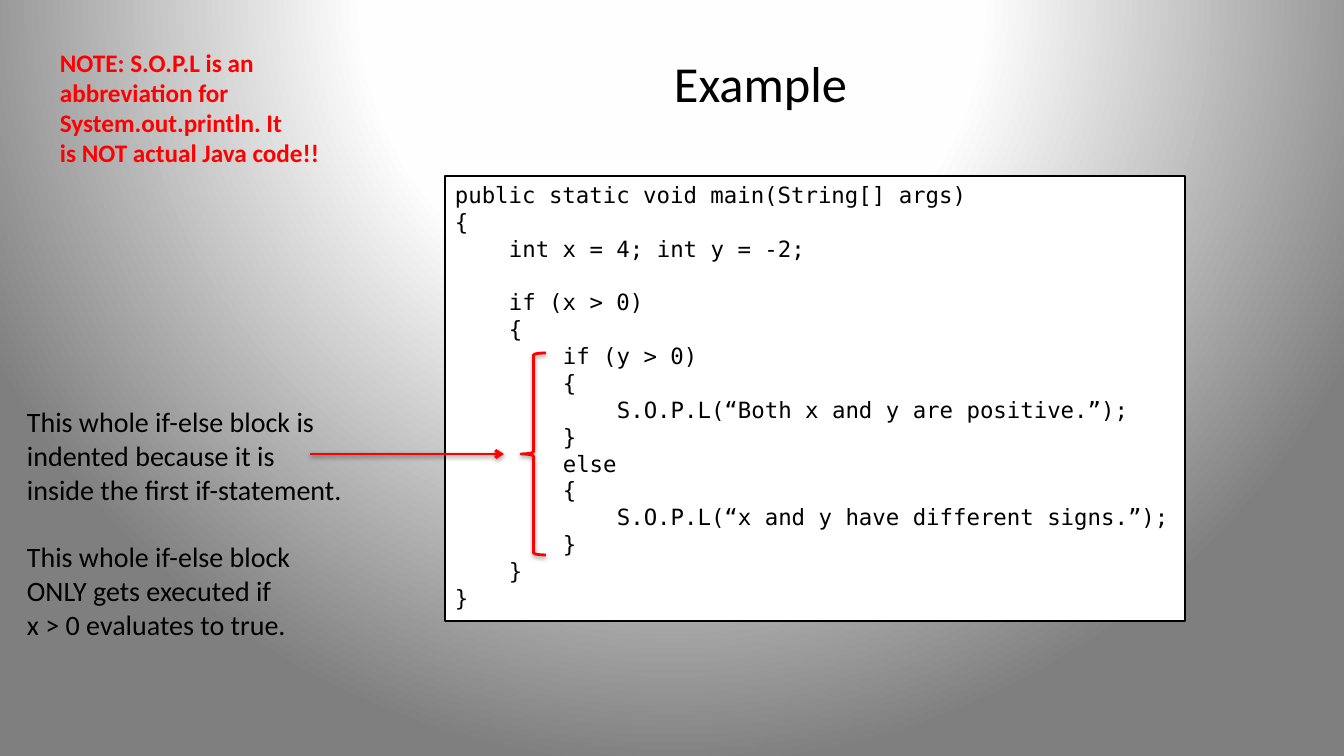
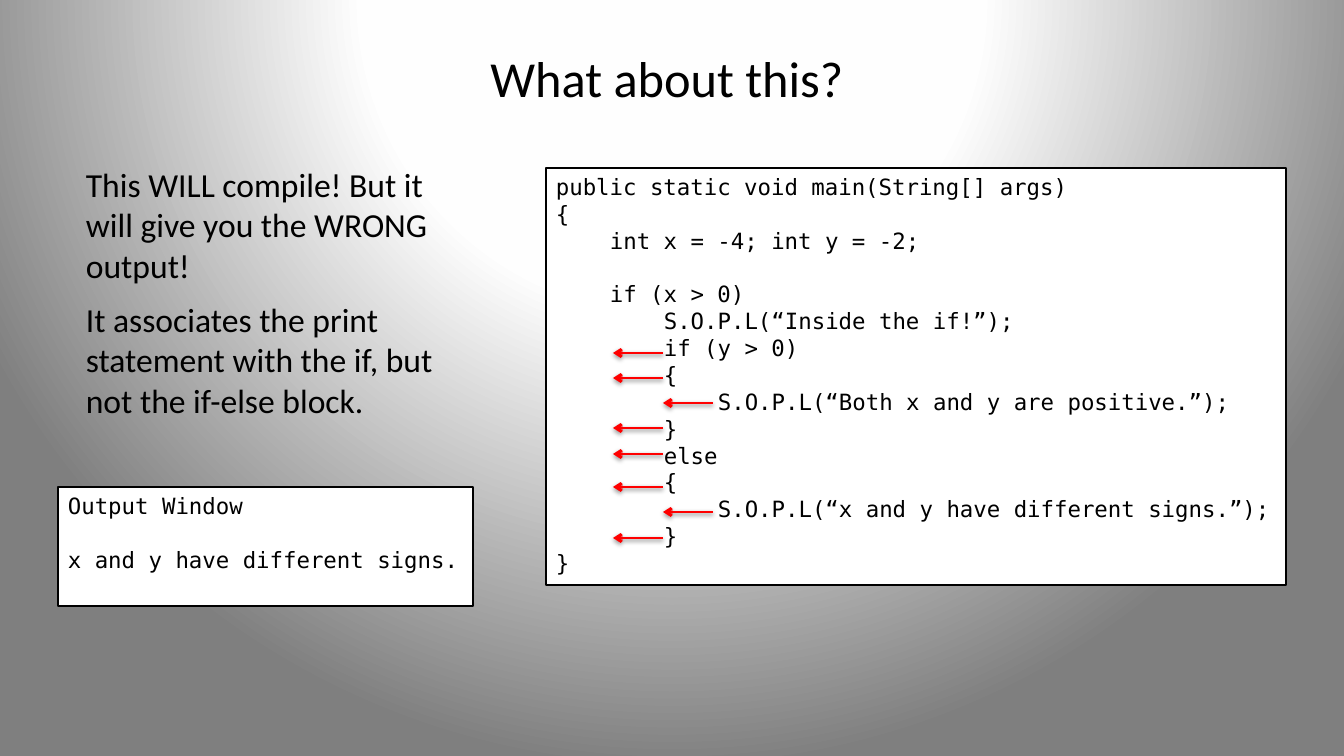
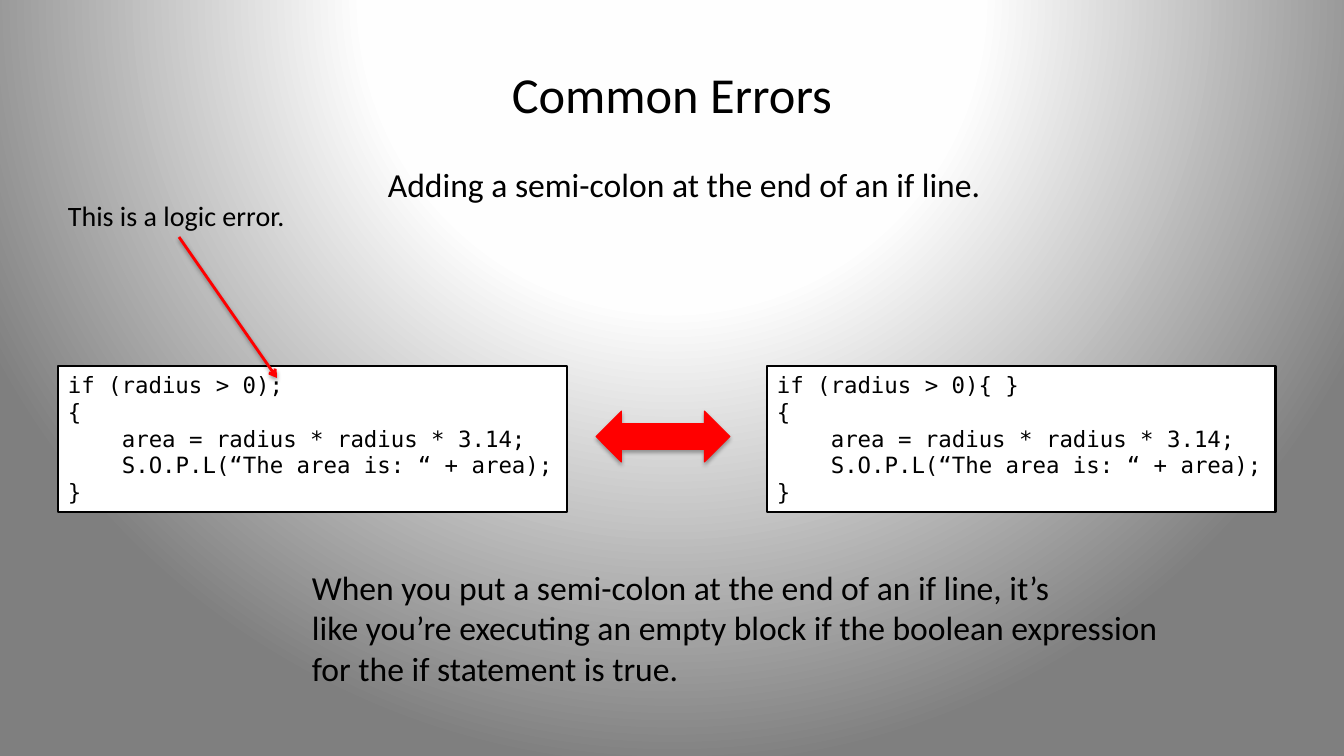
from lxml import etree
from pptx import Presentation
from pptx.dml.color import RGBColor
from pptx.enum.shapes import MSO_CONNECTOR, MSO_SHAPE
from pptx.enum.text import MSO_ANCHOR, PP_ALIGN
from pptx.oxml import parse_xml
from pptx.oxml.ns import nsdecls, qn
from pptx.util import Emu, Pt

RECT = MSO_SHAPE.RECTANGLE
BRACE = MSO_SHAPE.LEFT_BRACE
DOUBLE = MSO_SHAPE.LEFT_RIGHT_ARROW
LINE = MSO_CONNECTOR.STRAIGHT
TOP, MIDDLE = MSO_ANCHOR.TOP, MSO_ANCHOR.MIDDLE
LEFT, CENTER = PP_ALIGN.LEFT, PP_ALIGN.CENTER

COLORS = {"ink": "000000", "red": "FF0000", "paper": "FFFFFF",
          "glow": "FEFEFE", "edge": "7F7F7F"}
SANS, MONO = "Calibri", "DejaVu Sans Mono"
SCALE = 914400 / 100.8
WIDE, HIGH = 1344, 756
TAB, ROW = 54, 27  # four code columns, one code row

NEST = """        if (y > 0)
        {
            S.O.P.L(“Both x and y are positive.”);
        }
        else
        {
            S.O.P.L(“x and y have different signs.”);
        }
"""
SIGNS = """public static void main(String[] args)
{
    int x = 4; int y = -2;

    if (x > 0)
    {
""" + NEST + "    }\n}"
LOOSE = """public static void main(String[] args)
{
    int x = -4; int y = -2;

    if (x > 0)
        S.O.P.L(“Inside the if!”);
""" + NEST + "}"
OUTPUT = "Output Window\n\nx and y have different signs."
AREA = """
{
    area = radius * radius * 3.14;
    S.O.P.L(“The area is: “ + area);
}"""


def px(num):
    return Emu(round(num * SCALE))


def rgb(name):
    return RGBColor.from_string(COLORS[name])


def add_run(para, text, size, font=SANS, color="ink", bold=False):
    run = para.add_run()
    run.text = text
    face = run.font
    face.size, face.name, face.bold = Pt(size), font, bold
    face.color.rgb = rgb(color)


def cast(part, alpha=38, drop=20000):
    """Drop a soft shadow straight down."""
    part._element.spPr.append(parse_xml(
        f'<a:effectLst {nsdecls("a")}><a:outerShdw blurRad="40000" '
        f'dist="{drop}" dir="5400000" rotWithShape="0">'
        f'<a:srgbClr val="{COLORS["ink"]}"><a:alpha val="{alpha * 1000}"/>'
        '</a:srgbClr></a:outerShdw></a:effectLst>'))


def stroke(part, color, width=2):
    part.line.color.rgb = rgb(color)
    part.line.width = Pt(width)


def paint(master):
    """Give every slide the spotlight background."""
    master.background.fill.solid()
    stops = "".join(
        f'<a:gs pos="{pos * 1000}"><a:srgbClr val="{COLORS[name]}"/></a:gs>'
        for pos, name in ((0, "paper"), (40, "glow"), (100, "edge")))
    back = master.element.find(".//" + qn("p:bgPr"))
    back[0] = parse_xml(
        f'<a:gradFill {nsdecls("a")} rotWithShape="1"><a:gsLst>{stops}</a:gsLst>'
        '<a:path path="circle"><a:fillToRect l="50000" t="-80000" '
        'r="50000" b="180000"/></a:path></a:gradFill>')


def new_slide(deck, text, box):
    slide = deck.slides.add_slide(deck.slide_layouts[5])
    head = slide.shapes.title
    head.left, head.top, head.width, head.height = map(px, box)
    head.text_frame.vertical_anchor = MIDDLE
    para = head.text_frame.paragraphs[0]
    para.alignment = CENTER
    add_run(para, text, 36)
    return slide


def add_note(slide, box, paras, size, **style):
    """Place prose; a newline in a paragraph is a line break."""
    frame = slide.shapes.add_textbox(*map(px, box)).text_frame
    frame.word_wrap = True
    for i, text in enumerate(paras):
        para = frame.add_paragraph() if i else frame.paragraphs[0]
        for j, line in enumerate(text.split("\n")):
            if j:
                para.add_line_break()
            add_run(para, line, size, **style)


def add_code(slide, box, code):
    """Place a code panel; blank rows become space before the next row."""
    panel = slide.shapes.add_shape(RECT, *map(px, box))
    panel.shadow.inherit = False
    panel.fill.solid()
    panel.fill.fore_color.rgb = rgb("paper")
    stroke(panel, "ink")
    frame = panel.text_frame
    frame.word_wrap = True
    frame.vertical_anchor = TOP
    para, gap = frame.paragraphs[0], 0
    for i, line in enumerate(code.split("\n")):
        text = line.lstrip()
        if not text:
            gap += ROW
            continue
        if i:
            para = frame.add_paragraph()
        para.alignment = LEFT
        para.space_before = px(gap)
        props = para._p.get_or_add_pPr()
        props.set("marL", str(px((len(line) - len(text)) * TAB / 4)))
        props.set("indent", "0")
        add_run(para, text, 16, MONO)
        gap = 0


def add_arrow(slide, start, end):
    arrow = slide.shapes.add_connector(LINE, *map(px, start + end))
    stroke(arrow, "red")
    tail = etree.SubElement(arrow.line._get_or_add_ln(), qn("a:tailEnd"))
    tail.set("type", "arrow")
    cast(arrow)


def nested(deck, box):
    """Nested if-else with its block bracketed."""
    x, y = box[:2]
    slide = new_slide(deck, "Example", (244, 30, 1033, 104))
    add_code(slide, box, SIGNS)
    add_note(slide, (50, 42, 284, 132),
             ["NOTE: S.O.P.L is an\nabbreviation for\nSystem.out.println. It\n"
              "is NOT actual Java code!!"], 18, color="red", bold=True)
    brace = slide.shapes.add_shape(
        BRACE, *map(px, (x + 76, y + 177, 25, 202)))
    brace.fill.background()
    stroke(brace, "red")
    cast(brace)
    add_note(slide, (17, 400, 341, 112),
             ["This whole if-else block is\nindented because it is\n"
              "inside the first if-statement."], 20)
    add_arrow(slide, (x - 135, y + 278), (x + 59, y + 278))
    add_note(slide, (17, 535, 341, 112),
             ["This whole if-else block", "ONLY gets executed if",
              "x > 0 evaluates to true."], 20)


def unbraced(deck, box):
    """Missing braces, with arrows showing the true indent."""
    x, y = box[:2]
    slide = new_slide(deck, "What about this?", (58, 25, 1218, 104))
    add_code(slide, box, LOOSE)
    add_note(slide, (76, 159, 379, 132),
             ["This WILL compile! But it\nwill give you the WRONG\noutput!"], 24)
    add_note(slide, (76, 294, 379, 132),
             ["It associates the print\nstatement with the if, but\n"
              "not the if-else block."], 24)
    add_code(slide, (58, 487, 415, 119), OUTPUT)
    for drop, depth in ((185, 0), (210, 0), (235, 1), (260, 0),
                        (286, 0), (319, 0), (344, 1), (370, 0)):
        tip = x + 67 + 50 * depth
        add_arrow(slide, (tip + 50, y + drop), (tip, y + drop))


def errors(deck, box):
    """Two equal code panels joined by a double arrow."""
    x, y, w, h = box
    slide = new_slide(deck, "Common Errors", (67, 30, 1210, 126))
    add_note(slide, (378, 159, 622, 50),
             ["Adding a semi-colon at the end of an if line."], 24)
    for i, end in enumerate((";", "{ }")):
        add_code(slide, (x + 709 * i, y, w, h), "if (radius > 0)" + end + AREA)
    add_note(slide, (x, y - 172, 242, 44), ["This is a logic error."], 20)
    add_arrow(slide, (x + 121, y - 129), (x + 219, y + 12))
    swap = slide.shapes.add_shape(
        DOUBLE, *map(px, (x + w + 29, y + 45, 134, 51)))
    swap.fill.solid()
    swap.fill.fore_color.rgb = rgb("red")
    stroke(swap, "red", 0.75)
    cast(swap, 35, 23000)
    add_note(slide, (302, 562, 879, 132),
             ["When you put a semi-colon at the end of an if line, it’s\n"
              "like you’re executing an empty block if the boolean expression\n"
              "for the if statement is true."], 24)


deck = Presentation()
deck.slide_width, deck.slide_height = px(WIDE), px(HIGH)
paint(deck.slide_master)
nested(deck, (445, 176, 740, 445))
unbraced(deck, (546, 168, 740, 417))
errors(deck, (58, 366, 509, 146))
deck.save("out.pptx")
